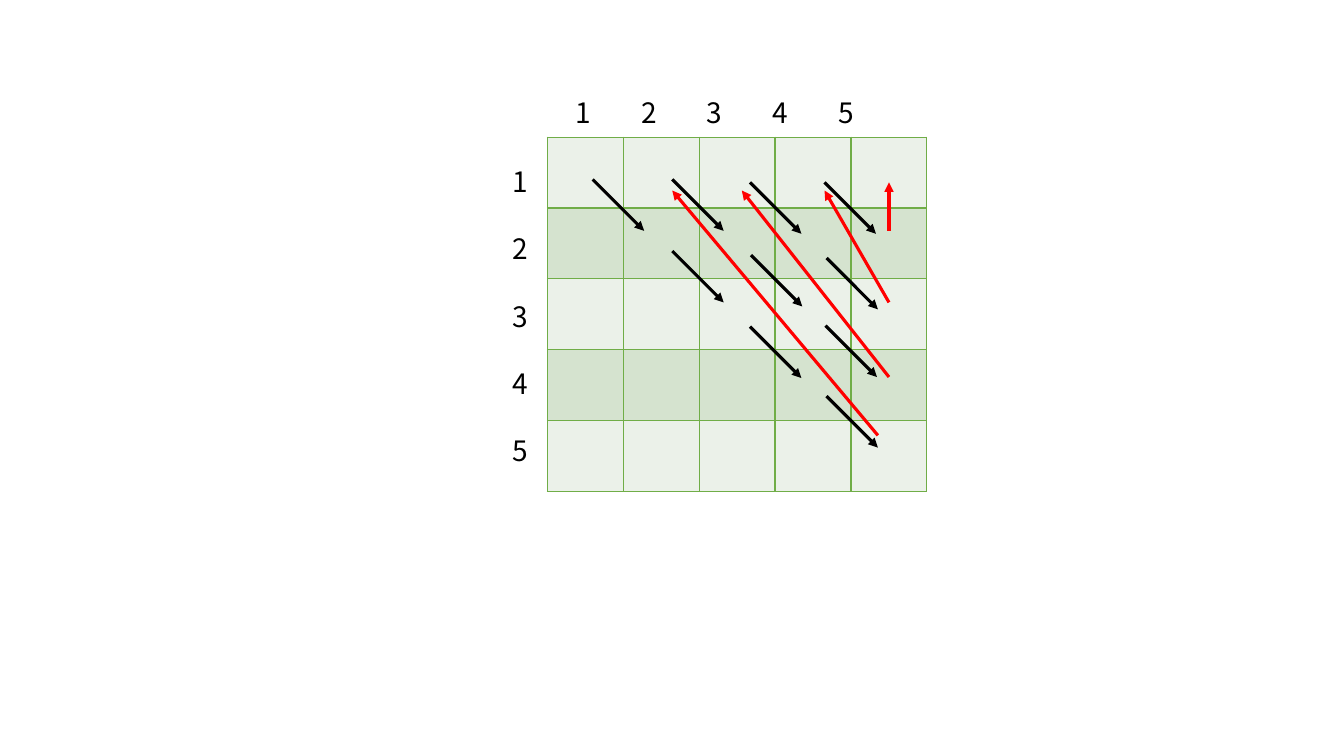
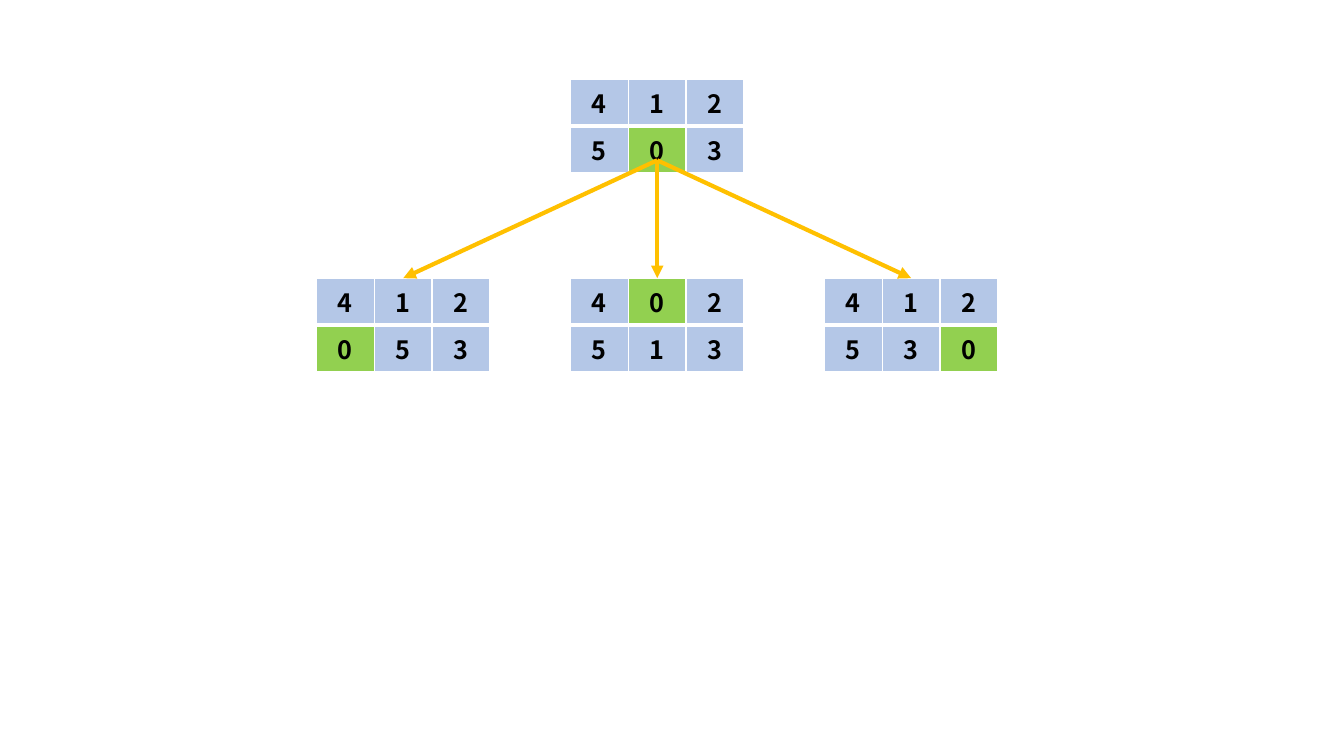
"""Build two slides: a diagonal table traversal and a sliding-puzzle move tree."""
from dataclasses import dataclass
from itertools import product

from lxml import etree
from pptx import Presentation
from pptx import util as u
from pptx.dml.color import RGBColor
from pptx.enum import shapes, text
from pptx.oxml import ns
from pptx.shapes.connector import Connector
from pptx.slide import Slide
from pptx.table import Table, _Cell
from pptx.text.text import TextFrame, _Paragraph

FONT = "Noto Sans CJK SC"
COLORS = {
    "ink": "000000",
    "paper": "FFFFFF",
    "grid": "70AD47",
    "band_light": "EBF1E9",
    "band_dark": "D5E3CF",
    "return": "FF0000",
    "tile": "B4C7E7",
    "blank_tile": "92D050",
    "move": "FFC000",
}
LABELS = "12345"
LABEL_LINE = 24
COLUMN_PITCH = 46.9
ROW_PITCH = 48
DIAGONAL_STEP = 36.7
TILE_WIDTH, TILE_HEIGHT = 41.3, 29.2
BOARD_WIDTH = 3 * TILE_WIDTH


@dataclass(frozen=True)
class Arrow:
    """An arrow from a start point to an end point, in points."""
    start: tuple[float, float]
    end: tuple[float, float]
    color: str
    width: float = 2.25


@dataclass(frozen=True)
class Board:
    """A two-row puzzle state and the place of its top left corner."""
    left: float
    top: float
    rows: tuple[str, str]

    @property
    def center(self) -> float:
        """Give the horizontal centre of the board."""
        return self.left + BOARD_WIDTH / 2


def rgb(name: str) -> RGBColor:
    """Look up a named colour."""
    return RGBColor.from_string(COLORS[name])


def draw_arrow(slide: Slide, arrow: Arrow) -> Connector:
    """Draw a straight connector with a triangular head."""
    points = (u.Pt(value) for value in (*arrow.start, *arrow.end))
    connector = slide.shapes.add_connector(shapes.MSO_CONNECTOR.STRAIGHT, *points)
    connector.line.color.rgb = rgb(arrow.color)
    connector.line.width = u.Pt(arrow.width)
    line = connector.line._get_or_add_ln()
    etree.SubElement(line, ns.qn("a:tailEnd"), type="triangle")
    etree.SubElement(connector._element.spPr, ns.qn("a:effectLst"))
    return connector


def add_grid(slide: Slide, left: float, top: float, rows: int, columns: int,
             width: float, height: float) -> Table:
    """Add a table of equal cells without banding."""
    frame = slide.shapes.add_table(rows, columns, u.Pt(left), u.Pt(top),
                                   u.Pt(columns * width), u.Pt(rows * height))
    table = frame.table
    table.first_row = table.horz_banding = False
    for column in table.columns:
        column.width = u.Pt(width)
    for row in table.rows:
        row.height = u.Pt(height)
    return table


def style_cell(cell: _Cell, fill: str, border: str, top: float = 1,
               bottom: float = 1) -> None:
    """Set the borders and fill of a cell."""
    properties = cell._tc.get_or_add_tcPr()
    for side, width in {"L": 1, "R": 1, "T": top, "B": bottom}.items():
        line = etree.SubElement(properties, ns.qn(f"a:ln{side}"), w=str(u.Pt(width)))
        solid = etree.SubElement(line, ns.qn("a:solidFill"))
        etree.SubElement(solid, ns.qn("a:srgbClr"), val=COLORS[border])
    cell.fill.solid()
    cell.fill.fore_color.rgb = rgb(fill)


def style_paragraph(paragraph: _Paragraph, size: float, bold: bool = False) -> None:
    """Set the shared font on a paragraph."""
    font = paragraph.font
    font.name, font.size, font.bold = FONT, u.Pt(size), bold
    font.color.rgb = rgb("ink")


def add_labels(slide: Slide, left: float, top: float, width: float, height: float,
               content: str) -> TextFrame:
    """Add a text box of axis labels."""
    box = slide.shapes.add_textbox(u.Pt(left), u.Pt(top), u.Pt(width), u.Pt(height))
    frame = box.text_frame
    frame.word_wrap = True
    frame.text = content
    for paragraph in frame.paragraphs:
        style_paragraph(paragraph, 20)
        paragraph.line_spacing = u.Pt(LABEL_LINE)
    return frame


def add_axis_labels(slide: Slide) -> None:
    """Number the columns by tab stops and the rows by paragraph spacing."""
    header = add_labels(slide, 404, 65, 250.6, 31.7, "\t".join(LABELS)).paragraphs[0]
    tabs = etree.SubElement(header._p.get_or_add_pPr(), ns.qn("a:tabLst"))
    header._p.pPr.find(ns.qn("a:defRPr")).addprevious(tabs)
    for index in range(1, len(LABELS)):
        position = u.Pt(index * COLUMN_PITCH)
        etree.SubElement(tabs, ns.qn("a:tab"), pos=str(position), algn="l")
    side = add_labels(slide, 359.3, 114, 25.5, 225.4, "\n".join(LABELS))
    for paragraph in side.paragraphs[:-1]:
        paragraph.space_after = u.Pt(ROW_PITCH - LABEL_LINE)


def build_traversal(slide: Slide) -> None:
    """Draw the banded grid and the order in which its diagonals are visited."""
    size = len(LABELS)
    table = add_grid(slide, 391, 98, size, size, 54.2, 50.6)
    for row, column in product(range(size), repeat=2):
        style_cell(table.cell(row, column),
                   "band_dark" if row % 2 else "band_light", "grid")
    add_axis_labels(slide)
    diagonals = (
        ((423.4, 128.2), (480.2, 179.3), (535.7, 233.3), (590.4, 283)),
        ((480.2, 128.2), (536.4, 182.2), (589.7, 232.6)),
        ((535.7, 130.3), (590.4, 184.3)),
        ((589, 130.3),),
    )
    for diagonal in diagonals:
        for x, y in diagonal:
            end = (x + DIAGONAL_STEP, y + DIAGONAL_STEP)
            draw_arrow(slide, Arrow((x, y), end, "ink"))
    returns = (
        ((627.1, 311), (480.2, 136.1)),
        ((635, 269.3), (529.9, 136.1)),
        ((635, 216), (589, 136.1)),
        ((635, 164.9), (635, 130.3)),
    )
    for start, end in returns:
        draw_arrow(slide, Arrow(start, end, "return"))


def draw_board(slide: Slide, board: Board) -> None:
    """Draw one puzzle state with its blank tile highlighted."""
    table = add_grid(slide, board.left, board.top, 2, 3, TILE_WIDTH, TILE_HEIGHT)
    for row, digits in enumerate(board.rows):
        for column, digit in enumerate(digits):
            cell = table.cell(row, column)
            cell.text = digit
            paragraph = cell.text_frame.paragraphs[0]
            paragraph.alignment = text.PP_ALIGN.CENTER
            style_paragraph(paragraph, 18, bold=True)
            style_cell(cell, "blank_tile" if digit == "0" else "tile", "paper",
                       top=3 if row else 1, bottom=1 if row else 3)


def build_move_tree(slide: Slide) -> None:
    """Draw the start state, its three successors and the moves between them."""
    middle, spacing, child_top = 407.5, 181.4, 198.7
    root = Board(middle, 56.9, ("412", "503"))
    states = (("412", "053"), ("402", "513"), ("412", "530"))
    children = [Board(middle + (index - 1) * spacing, child_top, rows)
                for index, rows in enumerate(states)]
    for board in (root, *children):
        draw_board(slide, board)
    for child in children:
        draw_arrow(slide, Arrow((root.center, 114.5), (child.center, child_top),
                                "move", 3))


def main() -> None:
    """Build and save the presentation."""
    presentation = Presentation()
    presentation.slide_width, presentation.slide_height = u.Pt(960), u.Pt(540)
    blank_layout = presentation.slide_layouts[6]
    for build in (build_traversal, build_move_tree):
        build(presentation.slides.add_slide(blank_layout))
    presentation.save("out.pptx")


main()
